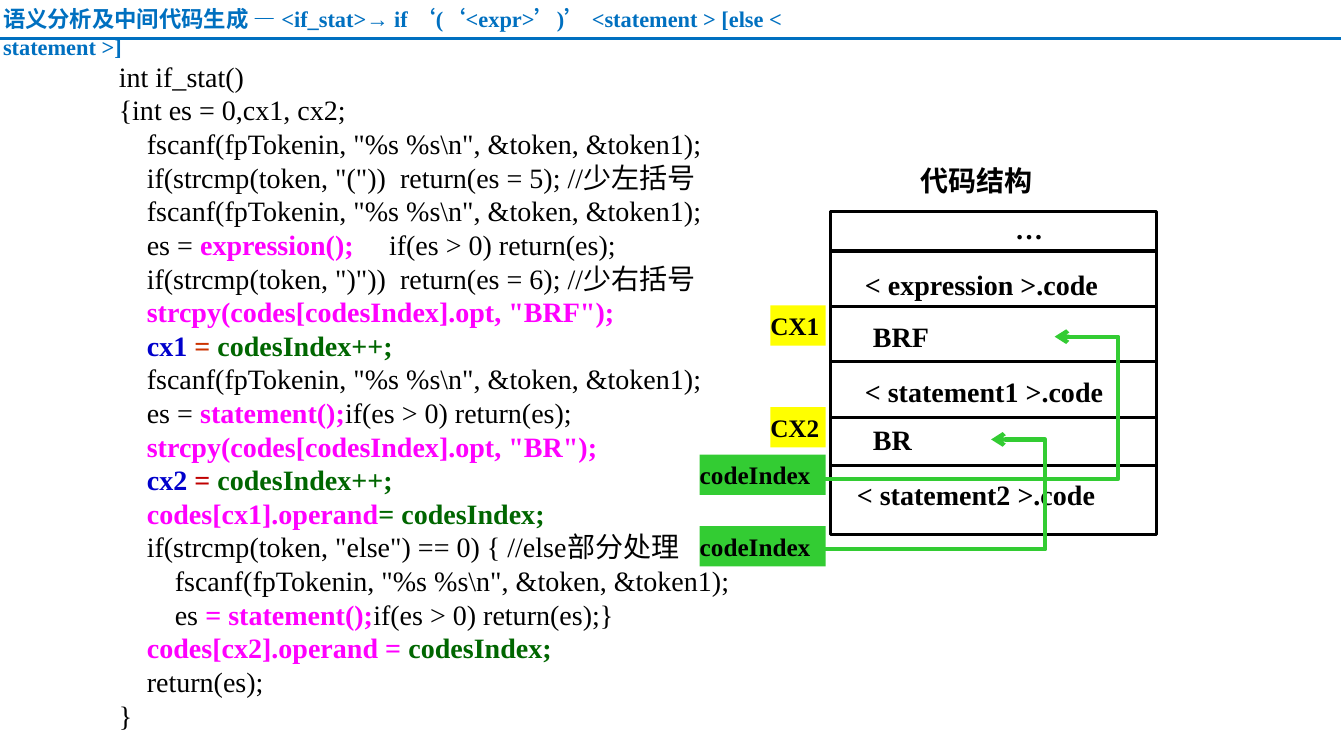
from lxml import etree
from pptx import Presentation
from pptx.dml.color import RGBColor
from pptx.enum.shapes import MSO_CONNECTOR as CONNECTOR, MSO_SHAPE as SHAPE
from pptx.enum.text import MSO_ANCHOR as ANCHOR, MSO_AUTO_SIZE as AUTO_SIZE, PP_ALIGN as ALIGN
from pptx.oxml.ns import qn
from pptx.util import Inches, Pt

BLACK = RGBColor(0x00, 0x00, 0x00)
BLUE = RGBColor(0x00, 0x70, 0xC0)
NAVY = RGBColor(0x00, 0x00, 0xCC)
MAGENTA = RGBColor(0xFF, 0x00, 0xFF)
DARK_GREEN = RGBColor(0x00, 0x66, 0x00)
ORANGE = RGBColor(0xCC, 0x33, 0x00)
RED = RGBColor(0xC0, 0x00, 0x00)
YELLOW = RGBColor(0xFF, 0xFF, 0x00)
GREEN = RGBColor(0x33, 0xCC, 0x33)
LATIN, CHINESE = "Times New Roman", "Noto Sans CJK SC"

deck = Presentation()
deck.slide_width, deck.slide_height = Inches(13.33), Inches(7.5)
page = deck.slides.add_slide(deck.slide_layouts[5])


def add_span(para, text, size, color, bold=True, font=LATIN):
    span = para.add_run()
    span.text = text
    span.font.name, span.font.size = font, Pt(size)
    span.font.bold, span.font.color.rgb = bold, color
    east_asian = etree.SubElement(span.font._element, qn("a:ea"))
    east_asian.set("typeface", CHINESE)


def add_line(kind, start, end, color, width):
    line = page.shapes.add_connector(kind, *map(Inches, start + end))
    line.line.color.rgb, line.line.width = color, Pt(width)
    etree.SubElement(line._element.spPr, qn("a:effectLst"))
    return line


# Title: the quotation marks are full-width Chinese ones
title = page.shapes.title
title.left, title.top, title.width, title.height = map(Inches, (-0.07, -0.01, 8.77, 0.37))
title.text_frame.word_wrap = True
title.text_frame.auto_size = AUTO_SIZE.NONE
title.text_frame.vertical_anchor = ANCHOR.TOP
heading = title.text_frame.paragraphs[0]
heading.alignment, heading.line_spacing = ALIGN.LEFT, Pt(20)
for text, font in [
    ("语义分析及中间代码生成 — ", CHINESE), ("<if_stat>→ if ", LATIN),
    ("‘", CHINESE), ("(", LATIN), ("‘", CHINESE), ("<expr>", LATIN),
    ("’", CHINESE), (")", LATIN), ("’", CHINESE),
    (" <statement > [else < statement >]", LATIN),
]:
    add_span(heading, text, 16, BLUE, font=font)
add_line(CONNECTOR.STRAIGHT, (0, 0.38), (13.3, 0.38), BLUE, 2.25)

# Program listing: black spans are regular, coloured spans are bold
SCAN = [('    fscanf(fpTokenin, "%s %s\\n", &token, &token1);', BLACK)]
CHECK = ("if(es > 0) return(es);", BLACK)
listing = [
    [("int if_stat()", BLACK)],
    [("{int es = 0,cx1, cx2;", BLACK)],
    SCAN,
    [('    if(strcmp(token, "("))  return(es = 5); //少左括号', BLACK)],
    SCAN,
    [("    es = ", BLACK), ("expression();     ", MAGENTA), CHECK],
    [('    if(strcmp(token, ")"))  return(es = 6); //少右括号', BLACK)],
    [('    strcpy(codes[codesIndex].opt, "BRF");', MAGENTA)],
    [("    ", BLACK), ("cx1 ", NAVY), ("= ", ORANGE), ("codesIndex++;", DARK_GREEN)],
    SCAN,
    [("    es = ", BLACK), ("statement();", MAGENTA), CHECK],
    [('    strcpy(codes[codesIndex].opt, "BR");', MAGENTA)],
    [("    ", BLACK), ("cx2 ", NAVY), ("= ", RED), ("codesIndex++;", DARK_GREEN)],
    [("    ", BLACK), ("codes[cx1].operand", MAGENTA), ("= codesIndex;", DARK_GREEN)],
    [('    if(strcmp(token, "else") == 0) { //else部分处理', BLACK)],
    [("    ", BLACK)] + SCAN,
    [("        es ", BLACK), ("= statement();", MAGENTA), CHECK, ("}", BLACK)],
    [("    ", BLACK), ("codes[cx2].operand = ", MAGENTA), ("codesIndex;", DARK_GREEN)],
    [("    return(es);", BLACK)],
    [("}", BLACK)],
]
code = page.shapes.add_textbox(*map(Inches, (1.08, 0.54, 6.41, 6.83))).text_frame
code.word_wrap = True
for number, spans in enumerate(listing):
    para = code.add_paragraph() if number else code.paragraphs[0]
    para.line_spacing = Pt(24)
    for text, color in spans:
        add_span(para, text, 20, color, color != BLACK)

# Code structure: one frame with dividers
LEFT, RIGHT, TOP, BOTTOM = 8.24, 11.47, 2.1, 5.3
frame = page.shapes.add_shape(
    SHAPE.RECTANGLE, *map(Inches, (LEFT, TOP, RIGHT - LEFT, BOTTOM - TOP)))
frame.shadow.inherit = False
frame.fill.background()
frame.line.color.rgb, frame.line.width = BLACK, Pt(2.25)
for edge in (2.49, 3.04, 3.59, 4.14, 4.62):
    add_line(CONNECTOR.STRAIGHT, (LEFT, edge), (RIGHT, edge), BLACK, 2.25)

# Labels of the structure
for text, left, top, width, spacing, font in [
    ("代码结构", 9.03, 1.54, 1.42, 1.1, CHINESE),
    ("…", 9.97, 2.02, 1.42, 1.1, LATIN),
    ("< expression >.code", 8.48, 2.57, 2.84, 1.1, LATIN),
    ("BRF", 8.56, 3.12, 0.8, 1, LATIN),
    ("< statement1 >.code", 8.48, 3.67, 2.84, 1, LATIN),
    ("BR", 8.56, 4.14, 0.88, 1, LATIN),
    ("< statement2 >.code", 8.4, 4.69, 2.76, 1, LATIN),
]:
    label = page.shapes.add_textbox(*map(Inches, (left, top, width, 0.45))).text_frame
    label.word_wrap = True
    label.paragraphs[0].line_spacing = spacing
    add_span(label.paragraphs[0], text, 20, BLACK, font=font)

# Jump arrows, bending to the right of their tips
for start, end, bend in [
    ((8.11, 4.75), (10.46, 3.34), 126900),
    ((8.11, 5.45), (9.83, 4.36), 131200),
]:
    arrow = add_line(CONNECTOR.ELBOW, start, end, GREEN, 3)
    guides = arrow._element.spPr.find(qn("a:prstGeom")).get_or_add_avLst()
    etree.SubElement(guides, qn("a:gd"), name="adj1", fmla=f"val {bend}")
    etree.SubElement(arrow.line._get_or_add_ln(), qn("a:tailEnd"), type="arrow")

# Index tags, right-aligned beside the structure
TAG_RIGHT = 8.19
for text, top, width, color in [
    ("CX1", 3.03, 0.55, YELLOW),
    ("CX2", 4.04, 0.55, YELLOW),
    ("codeIndex", 4.51, 1.25, GREEN),
    ("codeIndex", 5.22, 1.25, GREEN),
]:
    tag = page.shapes.add_shape(
        SHAPE.RECTANGLE, *map(Inches, (TAG_RIGHT - width, top, width, 0.4)))
    tag.shadow.inherit = False
    tag.fill.solid()
    tag.fill.fore_color.rgb = color
    tag.line.fill.background()
    tag.text_frame.margin_left = tag.text_frame.margin_right = 0
    tag.text_frame.word_wrap = True
    tag.text_frame.paragraphs[0].alignment = ALIGN.LEFT
    add_span(tag.text_frame.paragraphs[0], text, 18, BLACK)

deck.save("out.pptx")
